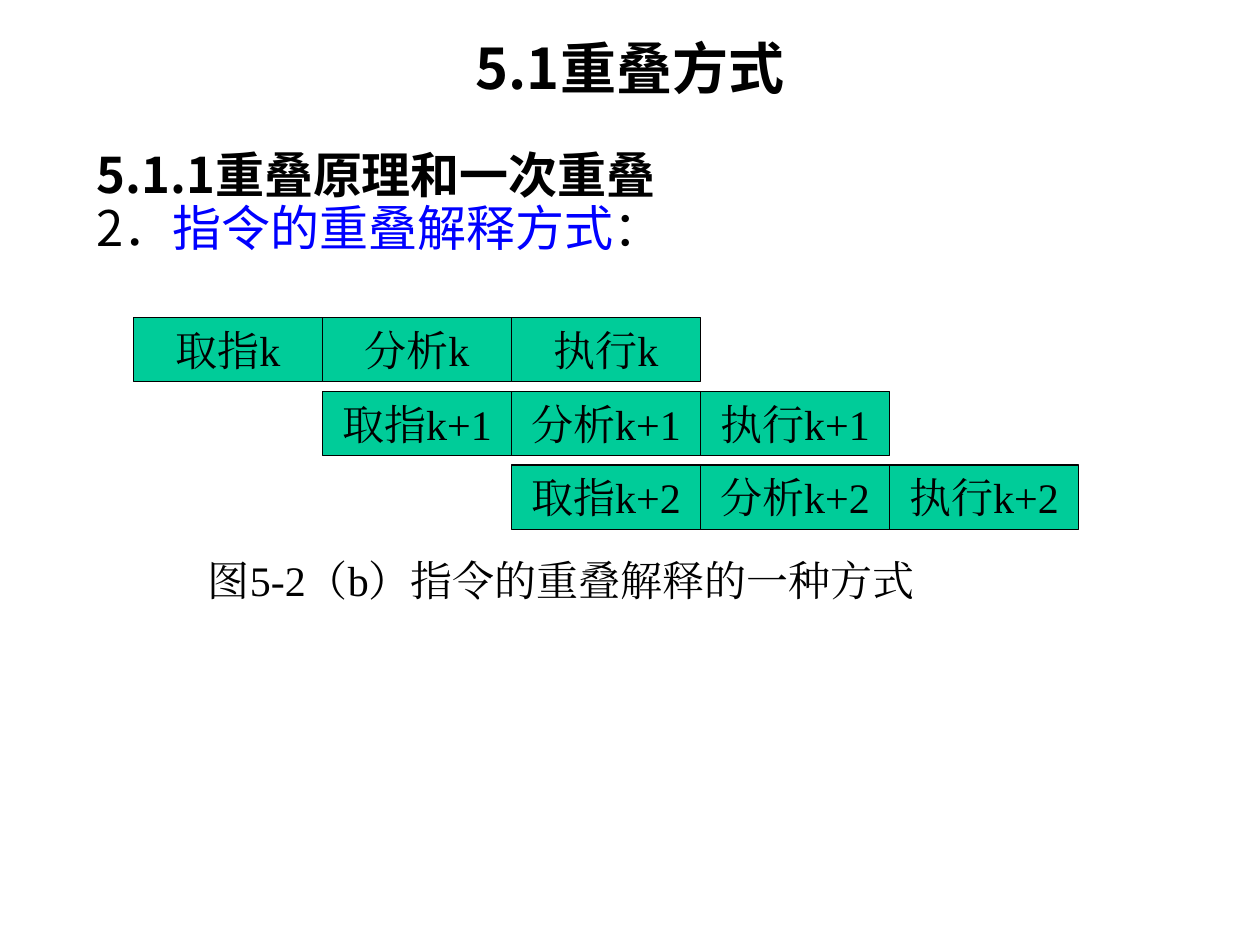
from dataclasses import dataclass

from lxml import etree
from pptx import Presentation
from pptx.dml.color import RGBColor
from pptx.enum.shapes import MSO_SHAPE
from pptx.enum.text import MSO_ANCHOR, PP_ALIGN
from pptx.oxml.ns import qn
from pptx.util import Inches, Pt

RECT = MSO_SHAPE.RECTANGLE
CENTER, JUSTIFY = PP_ALIGN.CENTER, PP_ALIGN.JUSTIFY
MIDDLE, TOP = MSO_ANCHOR.MIDDLE, MSO_ANCHOR.TOP


@dataclass(frozen=True)
class Theme:
    black: RGBColor = RGBColor(0, 0, 0)
    blue: RGBColor = RGBColor(0, 0, 0xFF)
    green: RGBColor = RGBColor(0, 0xCC, 0x99)
    sans: str = "Noto Sans CJK SC"
    serif: str = "Times New Roman"
    title: int = 32
    body: int = 28
    label: int = 24


@dataclass(frozen=True)
class Grid:
    """Pipeline grid in inches: one column per time step, one row per instruction."""
    left: float = 1.06
    top: float = 2.52
    col: float = 1.5
    row: float = 0.585
    height: float = 0.51


@dataclass(frozen=True)
class Stage:
    text: str
    col: int
    row: int


THEME = Theme()
GRID = Grid()
STAGES = [
    Stage(f"{name}{instruction}", row + step, row)
    for row, instruction in enumerate(("k", "k+1", "k+2"))
    for step, name in enumerate(("取指", "分析", "执行"))
]


def format_run(r, size: int, font: str, bold: bool = False,
               color: RGBColor = THEME.black) -> None:
    r.font.size = Pt(size)
    r.font.name = font
    r.font.bold = bold
    r.font.color.rgb = color
    ea = etree.Element(qn("a:ea"), typeface=font)
    r.font._element.find(qn("a:latin")).addnext(ea)


def add_text_box(shapes, box: tuple, anchor=TOP):
    sp = shapes.add_textbox(*map(Inches, box))
    tf = sp.text_frame
    tf.word_wrap = True
    tf.vertical_anchor = anchor
    return tf


def set_centered(tf, text: str, size: int, font: str, bold: bool = False) -> None:
    tf.text = text
    p = tf.paragraphs[0]
    p.alignment = CENTER
    format_run(p.runs[0], size, font, bold)


def add_stage(shapes, stage: Stage) -> None:
    sp = shapes.add_shape(
        RECT,
        Inches(GRID.left + stage.col * GRID.col),
        Inches(GRID.top + stage.row * GRID.row),
        Inches(GRID.col), Inches(GRID.height))
    sp.shadow.inherit = False
    sp.fill.solid()
    sp.fill.fore_color.rgb = THEME.green
    sp.line.color.rgb = THEME.black
    sp.line.width = Pt(0.75)
    sp.text_frame.vertical_anchor = MIDDLE
    set_centered(sp.text_frame, stage.text, THEME.label, THEME.serif)


def add_body(shapes) -> None:
    tf = add_text_box(shapes, (0.67, 1.15, 8.5, 1.18))
    tf.text = "5.1.1重叠原理和一次重叠"
    heading = tf.paragraphs[0]
    format_run(heading.runs[0], THEME.body, THEME.sans, bold=True)
    item = tf.add_paragraph()
    item.alignment = JUSTIFY
    for text, color in (("2．", THEME.black),
                        ("指令的重叠解释方式", THEME.blue),
                        ("：", THEME.black)):
        r = item.add_run()
        r.text = text
        format_run(r, THEME.body, THEME.sans, color=color)
    for p in (heading, item):
        p.line_spacing = 0.9


def main() -> None:
    prs = Presentation()
    prs.slide_width, prs.slide_height = Inches(10), Inches(7.5)
    slide = prs.slides.add_slide(prs.slide_layouts[6])

    title = add_text_box(slide.shapes, (0.75, 0.13, 8.5, 0.8), MIDDLE)
    set_centered(title, "5.1重叠方式", THEME.title, THEME.sans, bold=True)
    add_body(slide.shapes)

    figure = slide.shapes.add_group_shape().shapes
    for stage in STAGES:
        add_stage(figure, stage)
    caption = add_text_box(figure, (1.55, 4.35, 5.81, 0.5))
    set_centered(caption, "图5-2（b）指令的重叠解释的一种方式",
                 THEME.label, THEME.serif)

    prs.save("out.pptx")


if __name__ == "__main__":
    main()
